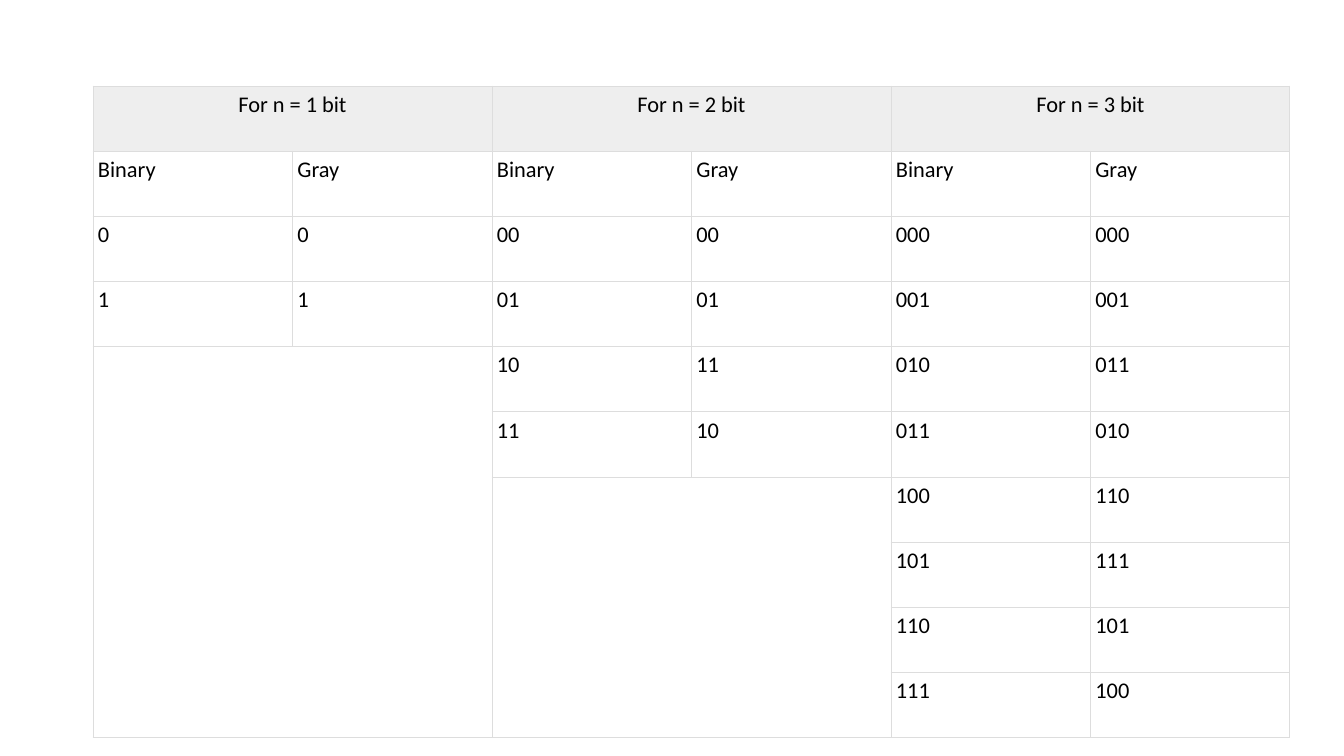
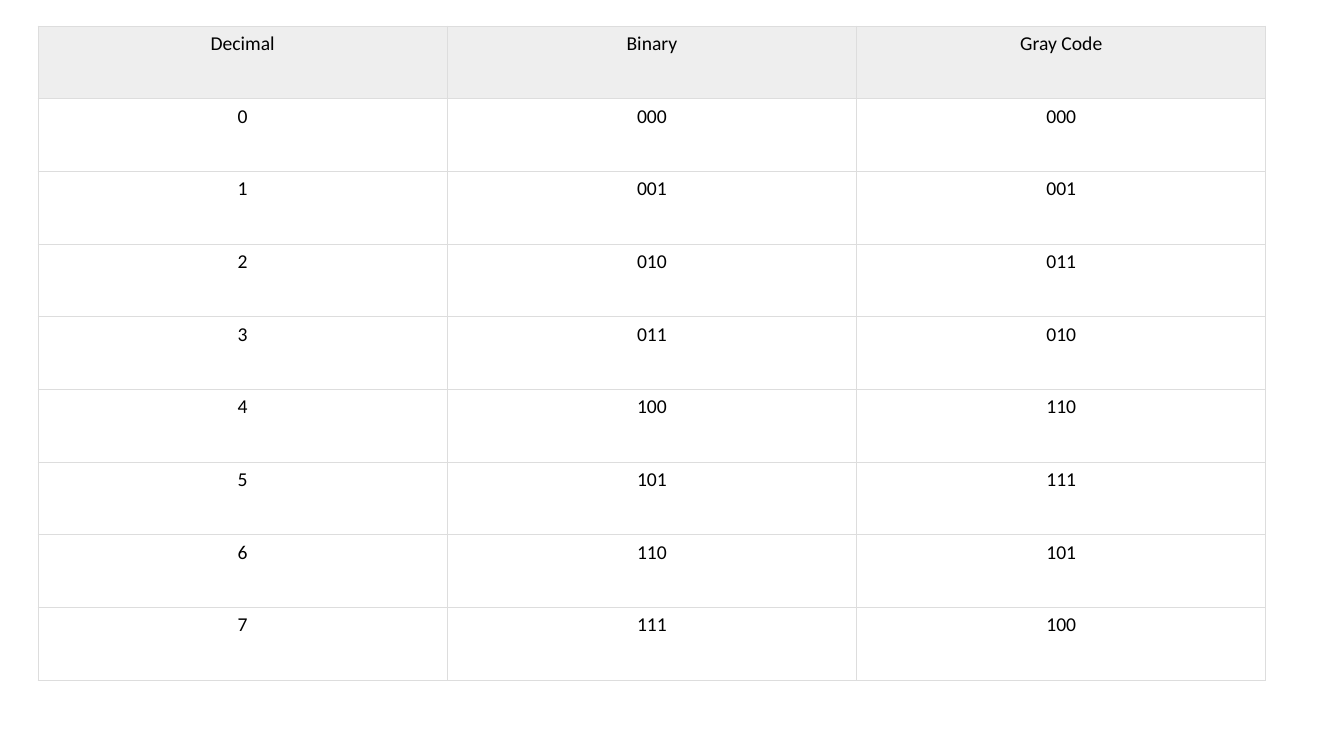
import pptx
import pptx.dml.color
import pptx.enum.text
import pptx.oxml
import pptx.oxml.ns
import pptx.util

BLACK = pptx.dml.color.RGBColor(0x00, 0x00, 0x00)
HEADER_GRAY = pptx.dml.color.RGBColor(0xEE, 0xEE, 0xEE)
BORDER_GRAY = pptx.dml.color.RGBColor(0xDD, 0xDD, 0xDD)
LEFT = pptx.enum.text.PP_ALIGN.LEFT
CENTER = pptx.enum.text.PP_ALIGN.CENTER

SLIDE_WIDTH, SLIDE_HEIGHT = 1344, 756
EMU_PER_PX = 12192000 / SLIDE_WIDTH


def px(length):
    return pptx.util.Emu(round(length * EMU_PER_PX))


def binary(number, bits):
    return f"{number:0{bits}b}"


def gray(number, bits):
    return binary(number ^ number >> 1, bits)


class Deck:
    """Holds the shared style and the current slide."""

    font_name = "Calibri"
    border_width = pptx.util.Pt(0.75)

    def __init__(self):
        self.presentation = pptx.Presentation()
        self.presentation.slide_width = px(SLIDE_WIDTH)
        self.presentation.slide_height = px(SLIDE_HEIGHT)
        self.slide = None

    def add_slide(self):
        self.slide = self.presentation.slides.add_slide(self.presentation.slide_layouts[6])

    def add_table(self, row_count, column_count, left, top, width, height):
        """Add an evenly divided table with thin borders and a shaded first row."""
        frame = self.slide.shapes.add_table(
            row_count, column_count, px(left), px(top), px(width), px(height))
        table = frame.table
        table.first_row = table.horz_banding = False
        for row_index, row in enumerate(table.rows):
            row.height = px(height / row_count)
            for cell in row.cells:
                self.add_borders(cell)
                if row_index == 0:
                    cell.fill.solid()
                    cell.fill.fore_color.rgb = HEADER_GRAY
                else:
                    cell.fill.background()
        return table

    def add_borders(self, cell):
        properties = cell._tc.get_or_add_tcPr()
        for side in ("lnL", "lnR", "lnT", "lnB"):
            properties.append(pptx.oxml.parse_xml(
                f'<a:{side} {pptx.oxml.ns.nsdecls("a")} w="{self.border_width}">'
                f'<a:solidFill><a:srgbClr val="{BORDER_GRAY}"/></a:solidFill></a:{side}>'))

    def write_cell(self, cell, text, size, margin, alignment):
        cell.margin_left = cell.margin_right = px(margin)
        cell.margin_top = cell.margin_bottom = px(margin)
        cell.text = text
        paragraph = cell.text_frame.paragraphs[0]
        paragraph.alignment = alignment
        paragraph.font.name = self.font_name
        paragraph.font.size = pptx.util.Pt(size)
        paragraph.font.color.rgb = BLACK

    def save(self):
        self.presentation.save("out.pptx")


def add_bit_width_slide(deck):
    """Binary and Gray codes side by side for one, two and three bits."""
    deck.add_slide()
    row_count = 10
    table = deck.add_table(row_count, 6, left=93, top=86, width=1197, height=652)
    for bits in (1, 2, 3):
        column = 2 * (bits - 1)

        # Heading over each pair of columns
        heading = table.cell(0, column)
        heading.merge(table.cell(0, column + 1))
        deck.write_cell(heading, f"For n = {bits} bit", 16, 5, CENTER)

        # Codes
        pairs = [("Binary", "Gray")]
        pairs += [(binary(n, bits), gray(n, bits)) for n in range(2 ** bits)]
        for row, pair in enumerate(pairs, start=1):
            for offset, text in enumerate(pair):
                deck.write_cell(table.cell(row, column + offset), text, 16, 5, LEFT)

        # Empty area below the shorter lists
        first_empty = len(pairs) + 1
        if first_empty < row_count:
            table.cell(first_empty, column).merge(table.cell(row_count - 1, column + 1))


def add_conversion_slide(deck):
    """Decimal, binary and Gray code for each three-bit number."""
    deck.add_slide()
    rows = [("Decimal", "Binary", "Gray Code")]
    rows += [(str(n), binary(n, 3), gray(n, 3)) for n in range(8)]
    table = deck.add_table(len(rows), 3, left=38, top=26, width=1228, height=654)
    for row, texts in enumerate(rows):
        for column, text in enumerate(texts):
            deck.write_cell(table.cell(row, column), text, 14, 6, CENTER)


def main():
    deck = Deck()
    add_bit_width_slide(deck)
    add_conversion_slide(deck)
    deck.save()


if __name__ == "__main__":
    main()
